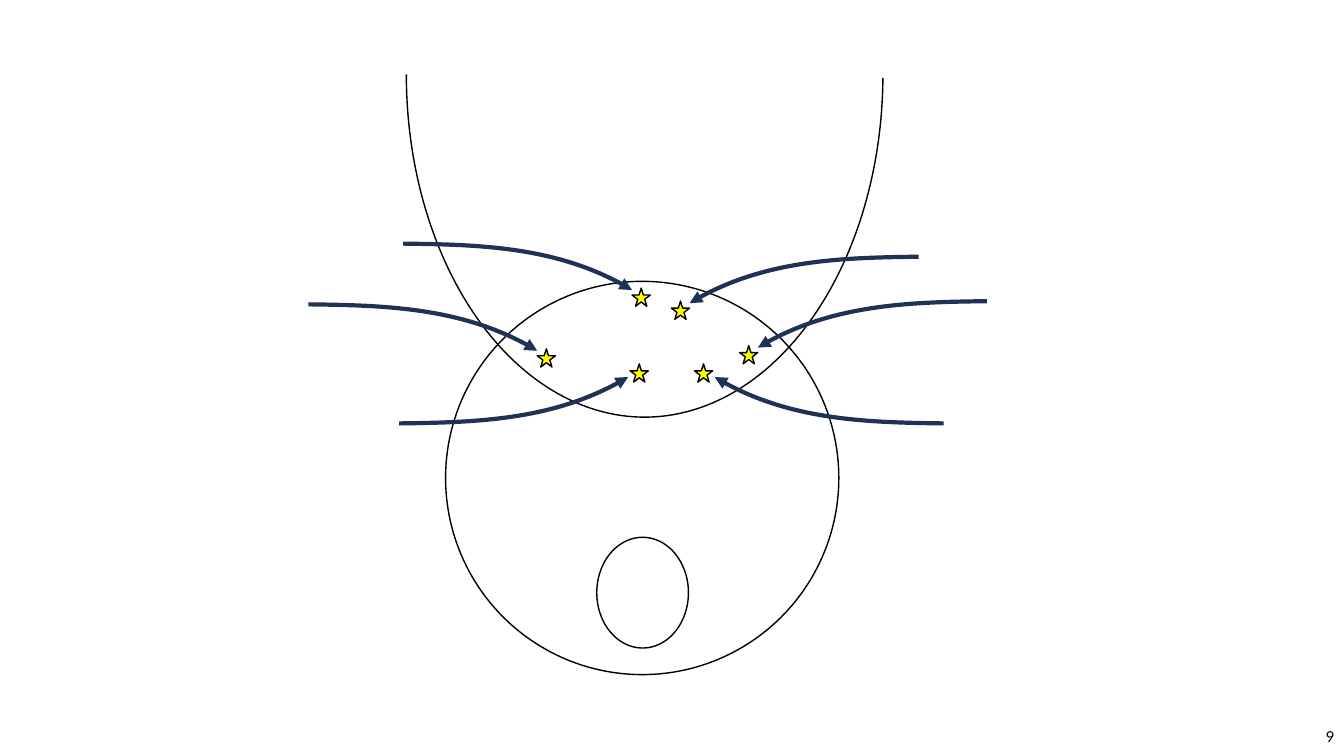
"""Build a slide of overlapping outlines with six stars marked by curved arrows."""
from lxml import etree
from pptx import Presentation
from pptx.dml.color import RGBColor
from pptx.enum.shapes import MSO_SHAPE
from pptx.enum.text import MSO_ANCHOR, PP_ALIGN
from pptx.oxml.ns import qn
from pptx.util import Cm, Pt

OVAL, ARC, STAR = MSO_SHAPE.OVAL, MSO_SHAPE.ARC, MSO_SHAPE.STAR_5_POINT
MIDDLE, RIGHT = MSO_ANCHOR.MIDDLE, PP_ALIGN.RIGHT
BLACK, WHITE, YELLOW, NAVY = "000000", "FFFFFF", "FFFF00", "1E3256"
STAR_SIZE = 0.46
ARROW_WIDTH, ARROW_HEIGHT = 5.77, 1.17


def color(hex_value):
    return RGBColor.from_string(hex_value)


def paint(shape, fill, line, width):
    shape.shadow.inherit = False
    if fill:
        shape.fill.solid()
        shape.fill.fore_color.rgb = color(fill)
    else:
        shape.fill.background()
    shape.line.color.rgb = color(line)
    shape.line.width = Pt(width)


deck = Presentation()
deck.slide_width, deck.slide_height = Cm(33.87), Cm(19.05)
slide = deck.slides.add_slide(deck.slide_layouts[6])

number_box = slide.shapes.add_textbox(Cm(26.25), Cm(18.03), Cm(7.62), Cm(1.02))
frame = number_box.text_frame
frame.word_wrap = True
frame.vertical_anchor = MIDDLE
para = frame.paragraphs[0]
para.alignment = RIGHT
span = para.add_run()
span.text = "9"
for name, value in {"name": "Calibri", "size": Pt(12)}.items():
    setattr(span.font, name, value)
span.font.color.rgb = color(BLACK)

outlines = [
    (OVAL, 11.23, 7.09, 9.91, 9.91, WHITE),
    (OVAL, 15.04, 13.54, 2.31, 2.79, WHITE),
    (ARC, 10.24, -6.76, 12.01, 17.27, None),
]
for kind, left, top, width, height, fill in outlines:
    outline = slide.shapes.add_shape(kind, Cm(left), Cm(top), Cm(width), Cm(height))
    paint(outline, fill, BLACK, 1)
    if kind == ARC:
        outline.rotation = 180
        outline.adjustments[0] = 108.51
        outline.adjustments[1] = 0

# Each star: left, top, arrow side (-1 left, 1 right), arrow start (-1 above, 1 below)
stars = [
    (15.93, 7.26, -1, -1),
    (15.88, 9.17, -1, 1),
    (13.54, 8.79, -1, -1),
    (17.5, 9.17, 1, 1),
    (16.92, 7.59, 1, -1),
    (18.64, 8.71, 1, -1),
]
for left, top, side, start in stars:
    group = slide.shapes.add_group_shape()
    star = group.shapes.add_shape(
        STAR, Cm(left), Cm(top), Cm(STAR_SIZE), Cm(STAR_SIZE))
    paint(star, YELLOW, BLACK, 1)

    tip_x = left + STAR_SIZE / 2 + side * (0.23 if start < 0 else 0.28)
    tip_y = top + (0.05 if start < 0 else 0.33)
    points = [
        (Cm(tip_x + side * ARROW_WIDTH * across), Cm(tip_y + start * ARROW_HEIGHT * up))
        for across, up in [(1, 1), (0.67, 0.98), (0.31, 0.93), (0, 0)]
    ]
    builder = group.shapes.build_freeform(*points[0])
    builder.add_line_segments(points[1:], close=False)
    arrow = builder.convert_to_shape()
    paint(arrow, None, NAVY, 3)

    outline_path = next(arrow.element.iter(qn("a:path")))
    curve = etree.SubElement(outline_path, qn("a:cubicBezTo"))
    for segment in outline_path.findall(qn("a:lnTo")):
        curve.append(segment[0])
        outline_path.remove(segment)
    etree.SubElement(arrow.get_or_add_ln(), qn("a:tailEnd"), type="triangle")

deck.save("out.pptx")
